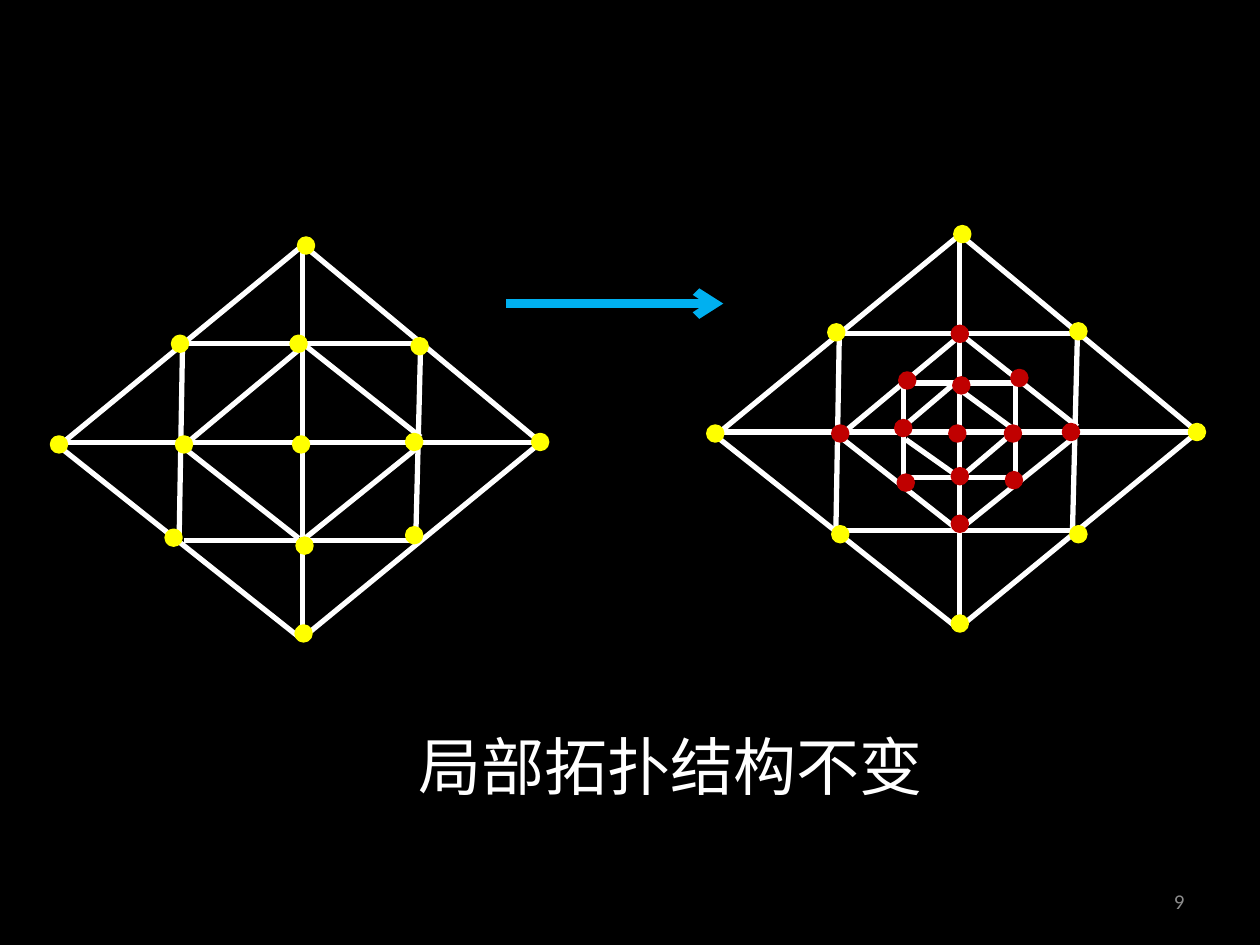
import pptx
import pptx.util
import pptx.dml.color
import pptx.enum.shapes
import pptx.enum.text
import pptx.oxml.ns
import lxml.etree

Cm, Pt = pptx.util.Cm, pptx.util.Pt
Anchor, Align = pptx.enum.text.MSO_ANCHOR, pptx.enum.text.PP_ALIGN
COLORS = {"back": "000000", "edge": "FFFFFF", "old": "FFFF00",
          "new": "C00000", "arrow": "00B0F0", "number": "8C8C8C"}
DOT = 0.3
RIGHT_SHIFT = (13.24, -0.21)

# Edges are (x1, y1, x2, y2) in centimetres.
MESH = [
    (1.09, 8.92, 10.9, 8.92), (6.1, 4.93, 6.1, 12.9),
    (6.1, 4.93, 10.9, 8.92), (1.09, 8.92, 6.1, 12.9),
    (6.05, 12.9, 10.9, 8.92), (1.27, 8.92, 6.1, 4.95),
    (3.61, 10.92, 3.68, 6.93), (8.38, 10.9, 8.48, 6.93),
    (8.38, 6.93, 3.76, 6.93), (8.33, 10.9, 3.71, 10.9),
    (6.17, 6.93, 3.78, 8.92), (8.36, 9.07, 6.15, 10.85),
    (8.48, 8.81, 6.17, 6.98), (6.02, 10.85, 3.76, 9.07),
]
INNER_MESH = [
    (18.21, 7.67, 18.21, 9.75), (20.47, 7.67, 20.47, 9.75),
    (18.21, 7.72, 20.55, 7.72), (18.26, 9.63, 20.47, 9.63),
    (19.25, 7.72, 18.26, 8.56), (20.4, 8.74, 19.41, 9.58),
    (19.41, 7.9, 20.55, 8.74), (18.26, 8.86, 19.35, 9.63),
]
# Dots are (left, top) in centimetres.
LEFT_DOTS = [
    (3.48, 6.78), (6.02, 4.8), (8.31, 6.83), (10.74, 8.76), (1.04, 8.81),
    (5.97, 12.62), (8.2, 10.64), (5.92, 8.81), (3.35, 10.69), (8.2, 8.76),
    (5.87, 6.78), (3.56, 8.81), (5.99, 10.85),
]
OUTER_DOTS = [
    (16.71, 6.55), (19.25, 4.57), (21.59, 6.53), (23.98, 8.56),
    (14.27, 8.59), (19.2, 12.42), (21.59, 10.62), (16.79, 10.62),
]
NEW_DOTS = [
    (19.15, 8.59), (21.44, 8.56), (19.2, 6.58), (16.79, 8.59), (19.23, 7.62),
    (19.2, 9.45), (20.27, 8.59), (20.29, 9.53), (18.11, 9.58), (20.4, 7.47),
    (18.14, 7.52), (18.06, 8.48), (19.2, 10.41),
]


def rgb(name):
    return pptx.dml.color.RGBColor.from_string(COLORS[name])


class Painter:
    """Holds the current slide and draws its elements in one style."""

    def __init__(self, page):
        self.page = page
        page.background.fill.solid()
        page.background.fill.fore_color.rgb = rgb("back")

    def line(self, x1, y1, x2, y2, color="edge", width=3, arrow=False):
        line = self.page.shapes.add_connector(
            pptx.enum.shapes.MSO_CONNECTOR.STRAIGHT, Cm(x1), Cm(y1), Cm(x2), Cm(y2))
        line.line.color.rgb = rgb(color)
        line.line.width = Pt(width)
        if arrow:
            tail = lxml.etree.SubElement(
                line.line._get_or_add_ln(), pptx.oxml.ns.qn("a:tailEnd"))
            tail.set("type", "arrow")
        lxml.etree.SubElement(line._element.spPr, pptx.oxml.ns.qn("a:effectLst"))

    def mesh(self, edges, shift=(0, 0)):
        dx, dy = shift
        for x1, y1, x2, y2 in edges:
            self.line(x1 + dx, y1 + dy, x2 + dx, y2 + dy)

    def dots(self, places, color):
        for left, top in places:
            dot = self.page.shapes.add_shape(
                pptx.enum.shapes.MSO_SHAPE.FLOWCHART_CONNECTOR,
                Cm(left), Cm(top), Cm(DOT), Cm(DOT))
            dot.shadow.inherit = False
            dot.fill.solid()
            dot.fill.fore_color.rgb = rgb(color)
            dot.line.color.rgb = rgb(color)
            dot.line.width = Pt(2)

    def set_words(self, box, place, words, color, anchor, align, font):
        for side, value in zip(("left", "top", "width", "height"), place):
            setattr(box, side, Cm(value))
        frame = box.text_frame
        frame.word_wrap = True
        frame.auto_size = pptx.enum.text.MSO_AUTO_SIZE.NONE
        frame.vertical_anchor = anchor
        para = frame.paragraphs[0]
        para.alignment = align
        span = para.add_run()
        span.text = words
        for key, value in font.items():
            setattr(span.font, key, value)
        span.font.color.rgb = rgb(color)
        east = lxml.etree.SubElement(
            span.font._element, pptx.oxml.ns.qn("a:ea"))
        east.set("typeface", font["name"])

    def title(self, place, words):
        self.set_words(self.page.shapes.title, place, words, "edge", Anchor.TOP,
                       Align.LEFT, {"name": "Noto Sans CJK SC", "size": Pt(36)})

    def number(self, place, words):
        box = self.page.shapes.add_textbox(0, 0, 0, 0)
        self.set_words(box, place, words, "number", Anchor.MIDDLE,
                       Align.RIGHT, {"name": "Calibri", "size": Pt(12)})


def main():
    deck = pptx.Presentation()
    deck.slide_width, deck.slide_height = Cm(25.4), Cm(19.05)
    painter = Painter(deck.slides.add_slide(deck.slide_layouts[5]))
    painter.mesh(MESH)
    painter.dots(LEFT_DOTS, "old")
    painter.mesh(MESH, RIGHT_SHIFT)
    painter.mesh(INNER_MESH)
    painter.dots(OUTER_DOTS, "old")
    painter.dots(NEW_DOTS, "new")
    painter.line(10.21, 6.12, 14.58, 6.12, "arrow", 5, arrow=True)
    painter.title((8.18, 14.53, 10.9, 1.8), "局部拓扑结构不变")
    painter.number((18.21, 17.65, 5.92, 1.02), "9")
    deck.save("out.pptx")


if __name__ == "__main__":
    main()
